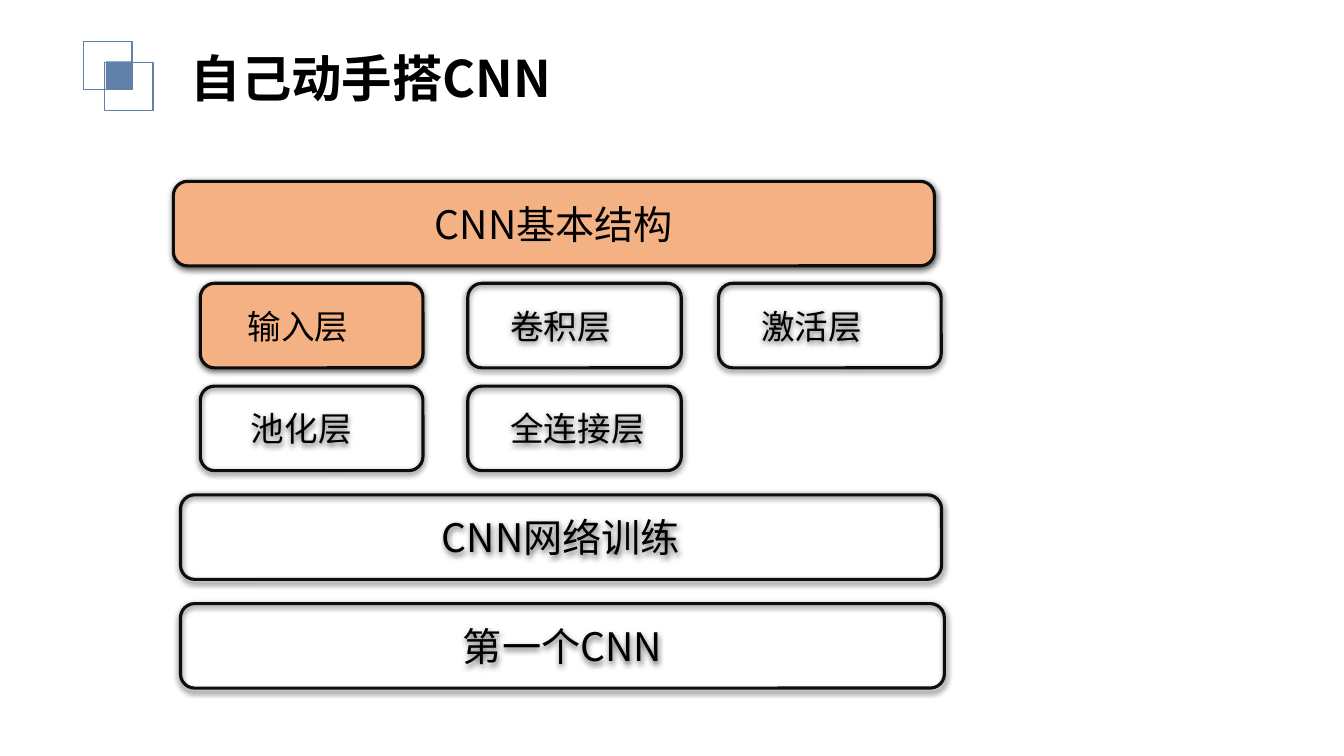
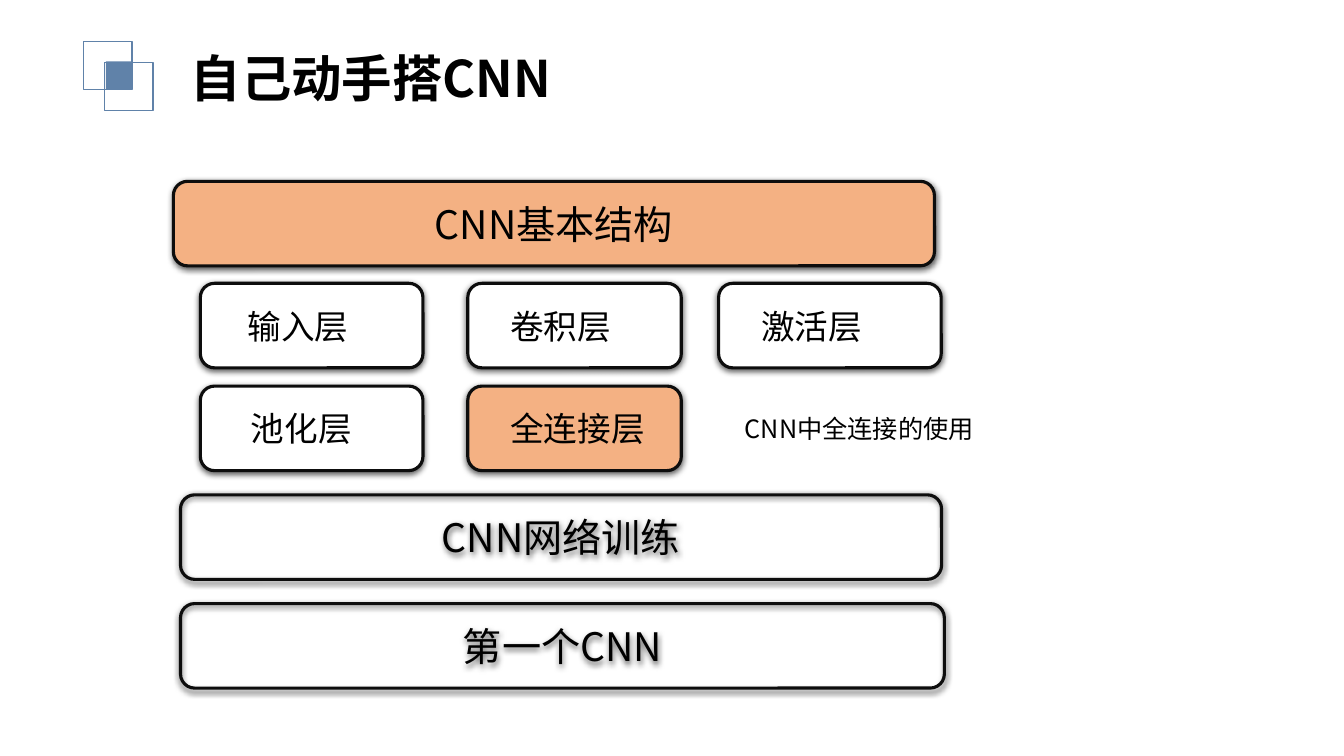
from dataclasses import dataclass
from typing import Optional

from lxml import etree
from pptx import Presentation
from pptx import util as u
from pptx.dml.color import RGBColor
from pptx.enum import shapes as sh, text as tx
from pptx.oxml.ns import qn

BLUE = RGBColor(0x60, 0x82, 0xA9)
PEACH = RGBColor(0xF4, 0xB1, 0x83)
EDGE = RGBColor(0x0D, 0x0D, 0x0D)
BLACK = RGBColor(0, 0, 0)
WHITE = RGBColor(255, 255, 255)
FONT = "Noto Sans CJK SC"
TITLE = "自己动手搭CNN"
HIGH = 2.13
LEFT, MID = tx.PP_ALIGN.LEFT, tx.PP_ALIGN.CENTER


@dataclass(frozen=True)
class Box:
    """A place on the slide in centimetres."""
    x: float
    y: float
    w: float
    h: float = HIGH

    def cm(self) -> tuple:
        return u.Cm(self.x), u.Cm(self.y), u.Cm(self.w), u.Cm(self.h)


@dataclass(frozen=True)
class Bar:
    label: str
    box: Box
    fill: Optional[RGBColor] = None


@dataclass(frozen=True)
class Layer:
    label: str
    col: int
    row: int
    inset: float


@dataclass(frozen=True)
class Page:
    focus: str
    rest: Optional[RGBColor] = None
    note: str = ""


COLS = ((5.05, 5.61), (11.79, 5.38), (18.11, 5.61))
ROWS = (7.14, 9.73)
BARS = (
    Bar("CNN基本结构", Box(4.37, 4.57, 19.18), PEACH),
    Bar("CNN网络训练", Box(4.55, 12.47, 19.18)),
    Bar("第一个CNN", Box(4.55, 15.21, 19.25)),
)
LAYERS = (
    Layer("输入层", 0, 0, 1.09),
    Layer("卷积层", 1, 0, 0.97),
    Layer("激活层", 2, 0, 0.97),
    Layer("池化层", 0, 1, 1.17),
    Layer("全连接层", 1, 1, 0.97),
)
PAGES = (
    Page("输入层"),
    Page("全连接层", WHITE, "CNN中全连接的使用"),
)


def put(shape, label: str, size: int, align=LEFT, bold: bool = False) -> None:
    """Write one line, with the font set for Latin and Chinese letters."""
    para = shape.text_frame.paragraphs[0]
    para.alignment = align
    run = para.add_run()
    run.text = label
    font = run.font
    font.name, font.size, font.bold = FONT, u.Pt(size), bold
    font.color.rgb = BLACK
    for latin in list(shape.element.iter(qn("a:latin"))):
        east = etree.Element(qn("a:ea"), typeface=FONT)
        latin.addnext(east)


def draw(slide, kind, box: Box, fill: Optional[RGBColor],
         line: Optional[RGBColor], width: float = 1):
    shape = slide.shapes.add_shape(kind, *box.cm())
    shape.shadow.inherit = False
    if fill is None:
        shape.fill.background()
    else:
        shape.fill.solid()
        shape.fill.fore_color.rgb = fill
    if line is None:
        shape.line.fill.background()
    else:
        shape.line.color.rgb = line
        shape.line.width = u.Pt(width)
    return shape


def shade(shape) -> None:
    """Add a soft shadow below the shape."""
    effects = shape.element.spPr.find(qn("a:effectLst"))
    outer = etree.SubElement(
        effects, qn("a:outerShdw"), blurRad=str(u.Pt(4.5)),
        dist=str(u.Pt(1.5)), dir="5400000", algn="ctr", rotWithShape="0")
    tint = etree.SubElement(outer, qn("a:srgbClr"), val=str(BLACK))
    etree.SubElement(tint, qn("a:alpha"), val="63000")


def card(slide, label: str, box: Box, fill: Optional[RGBColor],
         size: int, align=MID, inset: float = 0.25) -> None:
    shape = draw(slide, sh.MSO_SHAPE.ROUNDED_RECTANGLE, box, fill, EDGE, 2.25)
    shade(shape)
    frame = shape.text_frame
    frame.word_wrap = True
    frame.vertical_anchor = tx.MSO_ANCHOR.MIDDLE
    frame.margin_left = u.Cm(inset)
    put(shape, label, size, align)


def badge(slide, layout) -> None:
    """Draw the corner squares, then move them to the shared layout."""
    for box, fill, line in (
        (Box(2.11, 1.04, 1.22, 1.22), None, BLUE),
        (Box(2.64, 1.57, 1.22, 1.22), None, BLUE),
        (Box(2.67, 1.55, 0.64, 0.69), BLUE, None),
    ):
        shape = draw(slide, sh.MSO_SHAPE.RECTANGLE, box, fill, line)
        layout.shapes.element.append(shape.element)


def head(slide) -> None:
    title = slide.shapes.title
    title.left, title.top, title.width, title.height = Box(
        4.55, 1.07, 11.66, 1.8).cm()
    frame = title.text_frame
    frame.word_wrap = True
    frame.auto_size = tx.MSO_AUTO_SIZE.NONE
    frame.vertical_anchor = tx.MSO_ANCHOR.TOP
    put(title, TITLE, 36, bold=True)


def build(slide, page: Page) -> None:
    head(slide)
    for bar in BARS:
        card(slide, bar.label, bar.box, bar.fill, 28)
    for layer in LAYERS:
        x, w = COLS[layer.col]
        fill = PEACH if layer.label == page.focus else page.rest
        card(slide, layer.label, Box(x, ROWS[layer.row], w), fill, 24,
             LEFT, layer.inset)
    if page.note:
        note = slide.shapes.add_textbox(*Box(18.52, 10.29, 8.31, 1.02).cm())
        note.text_frame.word_wrap = True
        put(note, page.note, 18)


def main() -> None:
    deck = Presentation()
    deck.slide_width, deck.slide_height = u.Cm(33.87), u.Cm(19.05)
    layout = deck.slide_layouts.get_by_name("Title Only")
    for num, page in enumerate(PAGES):
        slide = deck.slides.add_slide(layout)
        if num == 0:
            badge(slide, layout)
        build(slide, page)
    deck.save("out.pptx")


if __name__ == "__main__":
    main()
